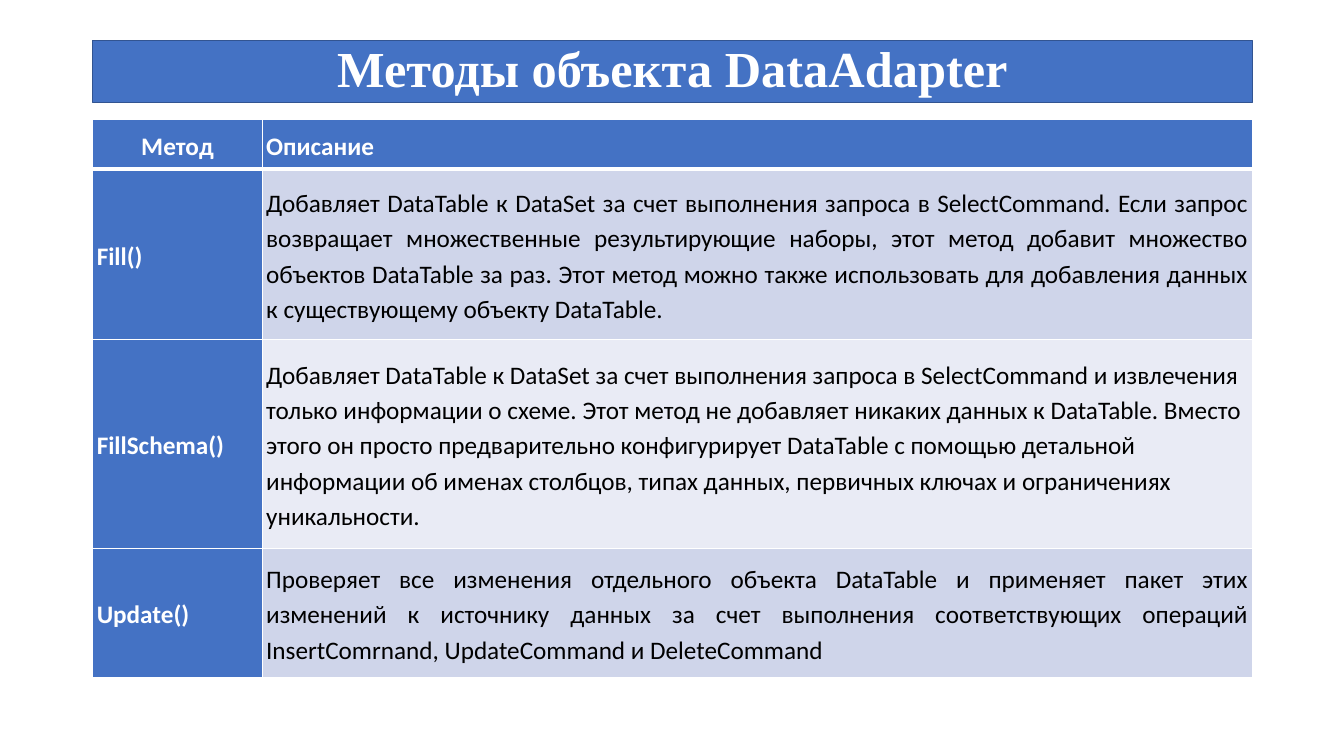
from lxml.etree import SubElement
from pptx import Presentation
from pptx.dml.color import RGBColor
from pptx.enum.text import MSO_ANCHOR as ANCHOR, MSO_AUTO_SIZE as AUTO, PP_ALIGN as ALIGN
from pptx.oxml.ns import qn
from pptx.util import Inches, Pt

BLUE = RGBColor(0x44, 0x72, 0xC4)
OUTLINE = RGBColor(0x32, 0x54, 0x91)
BAND_DARK = RGBColor(0xCF, 0xD5, 0xEA)
BAND_LIGHT = RGBColor(0xE9, 0xEB, 0xF5)
WHITE = RGBColor(0xFF, 0xFF, 0xFF)
BLACK = RGBColor(0x00, 0x00, 0x00)

LEFT, WIDTH = Inches(0.92), Inches(11.5)
COLUMNS = (1.68, 9.82)
ROWS = (0.5, 1.69, 2.07, 1.28)

METHODS = [
    ("Метод", "Описание"),
    ("Fill()",
     "Добавляет DataTable к DataSet за счет выполнения запроса в SelectCommand. "
     "Если запрос возвращает множественные результирующие наборы, этот метод добавит "
     "множество объектов DataTable за раз. Этот метод можно также использовать для "
     "добавления данных к существующему объекту DataTable."),
    ("FillSchema()",
     "Добавляет DataTable к DataSet за счет выполнения запроса в SelectCommand и "
     "извлечения только информации о схеме. Этот метод не добавляет никаких данных к "
     "DataTable. Вместо этого он просто предварительно конфигурирует DataTable с помощью "
     "детальной информации об именах столбцов, типах данных, первичных ключах и "
     "ограничениях уникальности."),
    ("Update()",
     "Проверяет все изменения отдельного объекта DataTable и применяет пакет этих "
     "изменений к источнику данных за счет выполнения соответствующих операций "
     "InsertComrnand, UpdateCommand и DeleteCommand"),
]
ALIGNMENTS = [
    (ALIGN.CENTER, ALIGN.LEFT),
    (ALIGN.LEFT, ALIGN.JUSTIFY),
    (ALIGN.LEFT, ALIGN.LEFT),
    (ALIGN.LEFT, ALIGN.JUSTIFY),
]


def format_text(p, font, size, color, bold, align, spacing):
    """Format a paragraph and its runs."""
    p.alignment, p.line_spacing = align, spacing
    for r in p.runs:
        r.font.name, r.font.size, r.font.bold = font, Pt(size), bold
        r.font.color.rgb = color


def add_title(s, text):
    """Fill and format the title placeholder."""
    sp = s.shapes.title
    sp.left, sp.top, sp.width, sp.height = LEFT, Inches(0.4), WIDTH, Inches(0.62)
    sp.fill.solid()
    sp.fill.fore_color.rgb = BLUE
    sp.line.color.rgb = OUTLINE
    sp.line.width = Pt(1)
    tf = sp.text_frame
    tf.text = text
    tf.word_wrap, tf.auto_size, tf.vertical_anchor = True, AUTO.NONE, ANCHOR.MIDDLE
    format_text(tf.paragraphs[0], "Times New Roman", 36, WHITE, True, ALIGN.CENTER, 0.9)


def add_borders(cell, top, bottom):
    """Draw white cell borders with the given top and bottom widths in points."""
    tc_pr = cell._tc.get_or_add_tcPr()
    for side, width in zip("LRTB", (1, 1, top, bottom)):
        ln = SubElement(tc_pr, qn(f"a:ln{side}"), w=str(Pt(width)))
        fill = SubElement(ln, qn("a:solidFill"))
        SubElement(fill, qn("a:srgbClr"), val=str(WHITE))


def fill_cell(cell, text, row, col):
    """Write one table cell and style it by its place in the grid."""
    heading = row == 0 or col == 0
    add_borders(cell, 3 if row == 1 else 1, 3 if row == 0 else 1)
    cell.fill.solid()
    cell.fill.fore_color.rgb = BLUE if heading else BAND_DARK if row % 2 else BAND_LIGHT
    cell.margin_left = cell.margin_right = Inches(0.04)
    cell.margin_top = cell.margin_bottom = Inches(0.02 if (row, col) == (2, 1) else 0.04)
    cell.vertical_anchor = ANCHOR.MIDDLE
    cell.text_frame.text = text
    p = cell.text_frame.paragraphs[0]
    p.space_after = Pt(10)
    format_text(p, "Calibri", 18, WHITE if heading else BLACK, heading,
                ALIGNMENTS[row][col], 1.15)


def add_methods_table(s):
    """Add the table of methods and descriptions."""
    table = s.shapes.add_table(len(ROWS), len(COLUMNS), LEFT, Inches(1.18),
                               WIDTH, Inches(sum(ROWS))).table
    table.first_col = True
    for column, width in zip(table.columns, COLUMNS):
        column.width = Inches(width)
    for i, (row, height) in enumerate(zip(table.rows, ROWS)):
        row.height = Inches(height)
        for j, text in enumerate(METHODS[i]):
            fill_cell(table.cell(i, j), text, i, j)


def main():
    """Build and save the slide."""
    prs = Presentation()
    prs.slide_width, prs.slide_height = Inches(13.33), Inches(7.5)
    s = prs.slides.add_slide(prs.slide_layouts[5])
    add_title(s, "Методы объекта DataAdapter")
    add_methods_table(s)
    prs.save("out.pptx")


if __name__ == "__main__":
    main()
